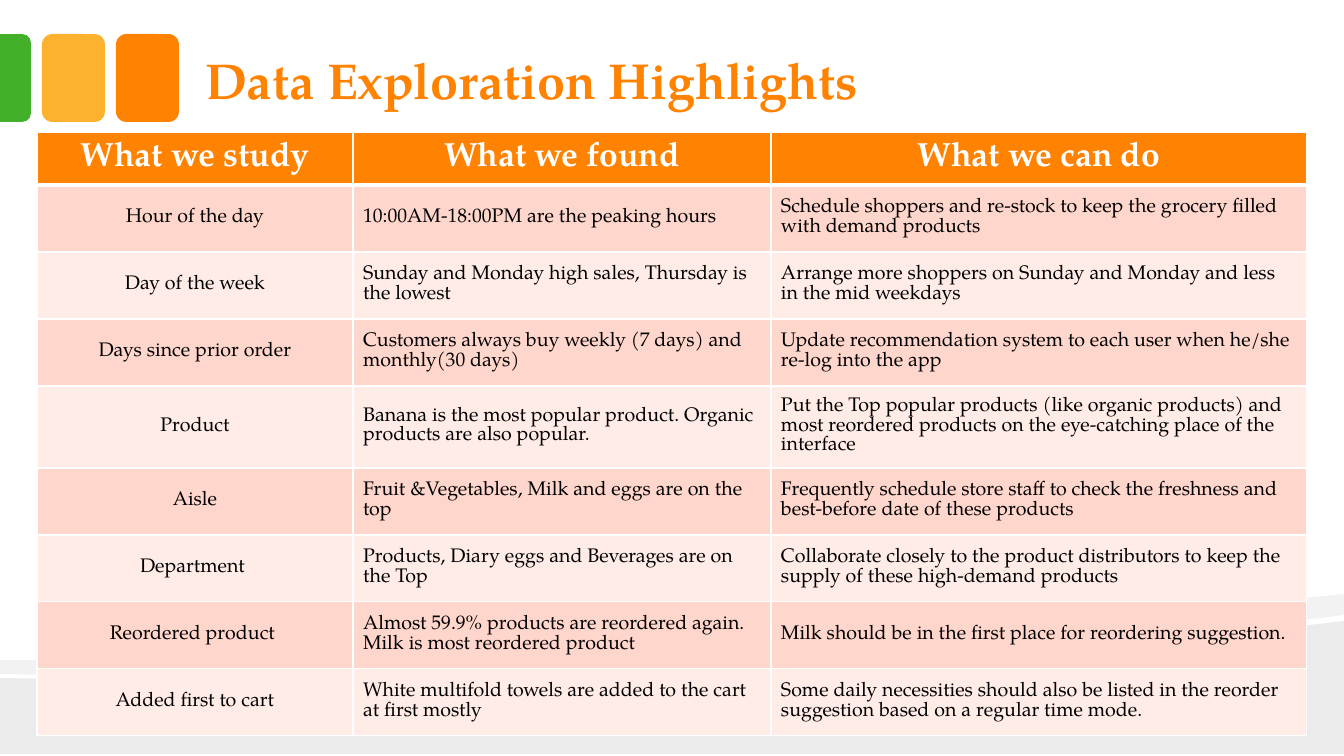
from dataclasses import dataclass

from lxml.etree import SubElement
from pptx import Presentation
from pptx.dml.color import RGBColor
from pptx.enum.shapes import MSO_SHAPE as Shape
from pptx.enum.text import MSO_ANCHOR as Anchor, PP_ALIGN as Align
from pptx.oxml.ns import qn
from pptx.util import Pt

SCALE = 12192000 / 1344


@dataclass(frozen=True)
class Theme:
    font: str = "TeX Gyre Pagella"
    orange: str = "FF8200"
    amber: str = "FCB22C"
    green: str = "42B129"
    white: str = "FFFFFF"
    black: str = "000000"
    bands: tuple = ("FFD6CC", "FFECE7")
    title_size: int = 36
    header_size: int = 24
    body_size: int = 14


THEME = Theme()

HEADERS = ("What we study", "What we found", "What we can do")
FINDINGS = (
    ("Hour of the day", "10:00AM-18:00PM are the peaking hours",
     "Schedule shoppers and re-stock to keep the grocery filled with demand products"),
    ("Day of the week", "Sunday and Monday high sales, Thursday is the lowest",
     "Arrange more shoppers on Sunday and Monday and less in the mid weekdays"),
    ("Days since prior order", "Customers always buy weekly (7 days) and monthly(30 days)",
     "Update recommendation system to each user when he/she re-log into the app"),
    ("Product", "Banana is the most popular product. Organic products are also popular.",
     "Put the Top popular products (like organic products) and most reordered products "
     "on the eye-catching place of the interface"),
    ("Aisle", "Fruit &Vegetables, Milk and eggs are on the top",
     "Frequently schedule store staff to check the freshness and best-before date of these products"),
    ("Department ", "Products, Diary eggs and Beverages are on the Top",
     "Collaborate closely to the product distributors to keep the supply of these high-demand products"),
    ("Reordered product ", "Almost 59.9% products are reordered again. Milk is most reordered product",
     "Milk should be in the first place for reordering suggestion."),
    ("Added first to cart", "White multifold towels are added to the cart at first mostly",
     "Some daily necessities should also be listed in the reorder suggestion based on a regular time mode."),
)


def px(length):
    return round(length * SCALE)


def paint(shape, color, opacity=100):
    shape.shadow.inherit = False
    shape.fill.solid()
    shape.fill.fore_color.rgb = RGBColor.from_string(color)
    shape.line.fill.background()
    if opacity < 100:
        tint = shape.fill._xPr.find(qn("a:solidFill"))[0]
        SubElement(tint, qn("a:alpha"), val=str(opacity * 1000))


def write(para, text, size, color, bold=False):
    span = para.add_run()
    span.text = text
    span.font.name = THEME.font
    span.font.size = Pt(size)
    span.font.bold = bold
    span.font.color.rgb = RGBColor.from_string(color)


def curve(start, first, second, end, steps=24):
    points = []
    for step in range(steps + 1):
        t = step / steps
        weights = ((1 - t) ** 3, 3 * t * (1 - t) ** 2, 3 * t * t * (1 - t), t ** 3)
        points.append(tuple(
            sum(weight * value for weight, value in zip(weights, axis))
            for axis in zip(start, first, second, end)))
    return points


def add_wave(page, box, points, opacity):
    left, top = box[:2]
    outline = [(px(left + x), px(top + y)) for x, y in points]
    builder = page.shapes.build_freeform(*outline[0])
    builder.add_line_segments(outline[1:], close=True)
    paint(builder.convert_to_shape(), THEME.black, opacity)


def add_waves(page, box):
    width, height = box[2:]
    ground = [(width, height), (0, height)]
    ground += curve((0, 84), (355, 92), (1050, 63), (width, 27))
    ribbon = curve((width, 21), (1265, 31), (1157, 41), (1037, 50))
    ribbon += curve((1037, 50), (704, 72), (260, 86), (0, 80))[1:]
    ribbon += curve((0, 66), (657, 71), (979, 35), (width, 0))
    add_wave(page, box, ground, 8)
    add_wave(page, box, ribbon, 5)


def add_tabs(page, box):
    left, top, width, height = box
    tab, gap = 63, 11
    for place, color in enumerate((THEME.orange, THEME.amber)):
        x = left + width - tab - place * (tab + gap)
        paint(page.shapes.add_shape(
            Shape.ROUNDED_RECTANGLE, px(x), px(top), px(tab), px(height)), color)
    stub = width - 2 * (tab + gap)
    turn = (height - stub) / 2
    edge = page.shapes.add_shape(
        Shape.ROUND_2_SAME_RECTANGLE, px(left - turn), px(top + turn), px(height), px(stub))
    edge.rotation = 90
    edge.adjustments[0] = 0.29
    paint(edge, THEME.green)


def add_title(page, box):
    frame = page.shapes.add_textbox(*map(px, box)).text_frame
    frame.word_wrap = True
    frame.vertical_anchor = Anchor.BOTTOM
    frame.margin_left = frame.margin_right = px(13)
    frame.margin_top = frame.margin_bottom = px(7)
    write(frame.paragraphs[0], "Data Exploration Highlights",
          THEME.title_size, THEME.orange, True)


def set_borders(cell, bottom):
    properties = cell._tc.get_or_add_tcPr()
    for place, (side, points) in enumerate(
            (("lnL", 1), ("lnR", 1), ("lnT", 1), ("lnB", bottom))):
        line = properties.makeelement(qn(f"a:{side}"), {"w": str(Pt(points))})
        fill = SubElement(line, qn("a:solidFill"))
        SubElement(fill, qn("a:srgbClr"), val=THEME.white)
        properties.insert(place, line)


def fill_cell(cell, text, row, column):
    header = row == 0
    cell.fill.solid()
    cell.fill.fore_color.rgb = RGBColor.from_string(
        THEME.orange if header else THEME.bands[(row - 1) % 2])
    set_borders(cell, 3 if header else 1)
    cell.vertical_anchor = Anchor.MIDDLE
    para = cell.text_frame.paragraphs[0]
    para.alignment = Align.CENTER if header or column == 0 else Align.LEFT
    size = THEME.header_size if header else THEME.body_size
    para.line_spacing = Pt(size)
    write(para, text, size, THEME.white if header else THEME.black, header)


def add_findings(page, box):
    rows = (HEADERS, *FINDINGS)
    table = page.shapes.add_table(len(rows), len(HEADERS), *map(px, box)).table
    for column, width in zip(table.columns, (316, 418, 536)):
        column.width = px(width)
    for row, height in zip(table.rows, (53, 67, 67, 67, 82, 67, 67, 67, 67)):
        row.height = px(height)
    for row, texts in enumerate(rows):
        for column, text in enumerate(texts):
            fill_cell(table.cell(row, column), text, row, column)


def main():
    deck = Presentation()
    deck.slide_width, deck.slide_height = px(1344), px(756)
    page = deck.slides.add_slide(deck.slide_layouts[6])
    add_waves(page, (0, 594, 1344, 160))
    add_tabs(page, (0, 34, 179, 88))
    add_title(page, (192, 49, 862, 68))
    add_findings(page, (37, 132, 1270, 604))
    deck.save("out.pptx")


if __name__ == "__main__":
    main()
